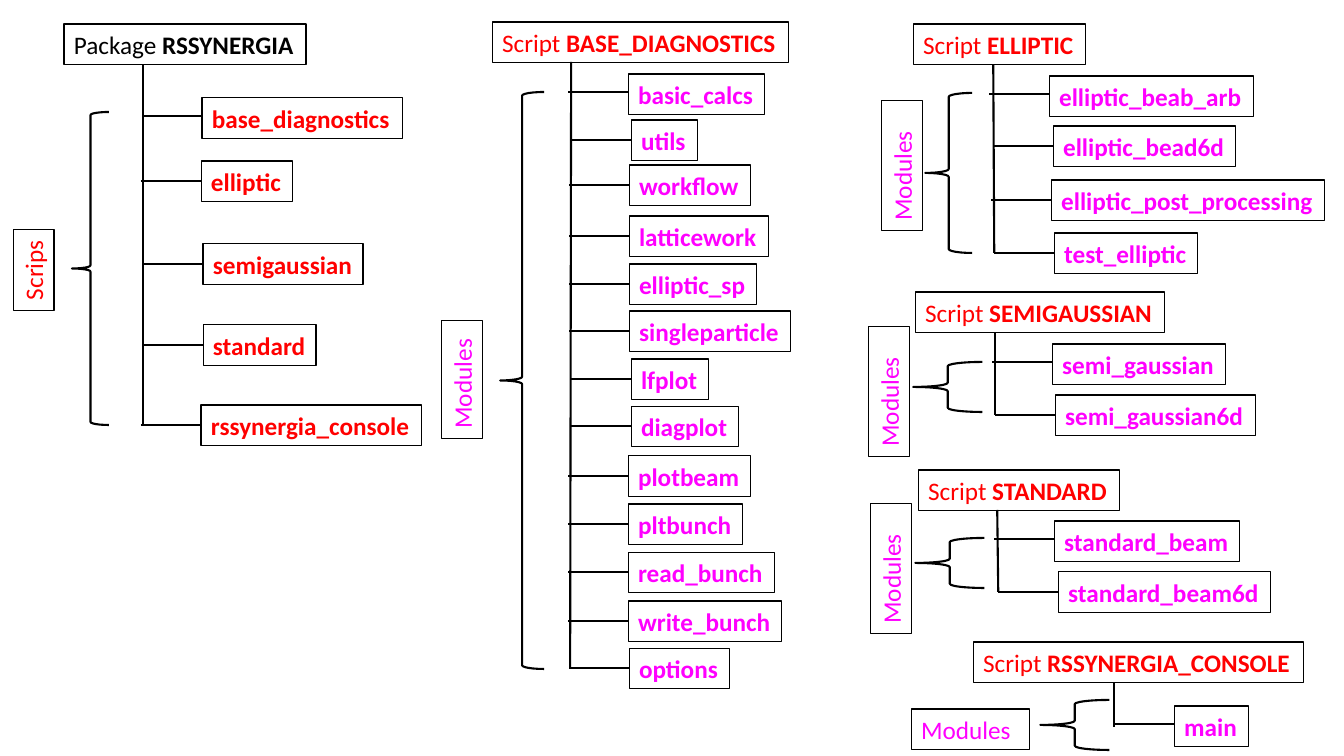
"""Draw the package tree with its scripts and modules on one slide."""
from lxml import etree
from pptx import Presentation
from pptx import util as u
from pptx.dml.color import RGBColor
from pptx.enum import shapes, text
from pptx.oxml.ns import qn

SCALE = 914400 / 100.8
BLACK = RGBColor(0x00, 0x00, 0x00)
RED = RGBColor(0xFF, 0x00, 0x00)
MAGENTA = RGBColor(0xFF, 0x00, 0xFF)
BOX_HEIGHT = 41
BRANCH_LENGTH = 60

TREES = [
    dict(kind="Package ", name="RSSYNERGIA", title=(64, 24, 242), color=BLACK,
         trunk=(143, 65, 143, 425), brace=(72, 112, 37, 313),
         label=("Scrips", -7, 249, 81), turn=270, leaf_color=RED,
         leaves=[("base_diagnostics", 202, 98, 200), ("elliptic", 201, 161, 91),
                 ("semigaussian", 203, 244, 160), ("standard", 203, 325, 113),
                 ("rssynergia_console", 201, 405, 220)]),
    dict(kind="Script ", name="BASE_DIAGNOSTICS", title=(492, 22, 296), color=RED,
         trunk=(571, 62, 570, 668), brace=(500, 92, 44, 577),
         label=("Modules", 403, 359, 118), turn=270, leaf_color=MAGENTA,
         leaves=[("basic_calcs", 628, 74, 136), ("utils", 631, 120, 66),
                 ("workflow", 629, 165, 121), ("latticework", 629, 216, 139),
                 ("elliptic_sp", 629, 264, 127), ("singleparticle", 629, 311, 161),
                 ("lfplot", 631, 359, 77), ("diagplot", 631, 406, 107),
                 ("plotbeam", 628, 456, 122), ("pltbunch", 628, 504, 114),
                 ("read_bunch", 628, 552, 146), ("write_bunch", 628, 601, 153),
                 ("options", 629, 648, 100)]),
    dict(kind="Script ", name="ELLIPTIC", title=(913, 24, 172), color=RED,
         trunk=(993, 65, 994, 253), brace=(925, 93, 47, 160),
         label=("Modules", 837, 145, 130), turn=270, leaf_color=MAGENTA,
         leaves=[("elliptic_beab_arb", 1049, 76, 204), ("elliptic_bead6d", 1053, 126, 182),
                 ("elliptic_post_processing", 1051, 180, 273),
                 ("test_elliptic", 1054, 233, 143)]),
    dict(kind="Script ", name="SEMIGAUSSIAN", title=(915, 292, 249), color=RED,
         trunk=(995, 333, 995, 415), brace=(913, 362, 69, 50),
         label=("Modules", 824, 371, 130), turn=270, leaf_color=MAGENTA,
         leaves=[("semi_gaussian", 1052, 344, 173), ("semi_gaussian6d", 1055, 395, 200)]),
    dict(kind="Script ", name="STANDARD", title=(918, 470, 201), color=RED,
         trunk=(997, 510, 998, 592), brace=(915, 538, 69, 50),
         label=("Modules", 826, 548, 130), turn=270, leaf_color=MAGENTA,
         leaves=[("standard_beam", 1054, 521, 185), ("standard_beam6d", 1058, 572, 212)]),
    dict(kind="Script ", name="RSSYNERGIA_CONSOLE", title=(973, 642, 330), color=RED,
         trunk=(1114, 683, 1114, 727), brace=(1040, 700, 69, 50),
         label=("Modules", 911, 709, 118), turn=0, leaf_color=MAGENTA,
         leaves=[("main", 1174, 706, 74)]),
]

deck = Presentation()
deck.slide_width, deck.slide_height = u.Inches(13.33), u.Inches(7.5)
page = deck.slides.add_slide(deck.slide_layouts[6])


def add_box(left, top, width, spans, color, wrap=False):
    edges = [round(v * SCALE) for v in (left, top, width, BOX_HEIGHT)]
    box = page.shapes.add_textbox(*edges)
    box.line.color.rgb = BLACK
    box.line.width = u.Pt(0.75)
    frame = box.text_frame
    frame.word_wrap = wrap
    frame.auto_size = text.MSO_AUTO_SIZE.SHAPE_TO_FIT_TEXT
    for words, bold in spans:
        span = frame.paragraphs[0].add_run()
        span.text = words
        span.font.name = "Calibri"
        span.font.size = u.Pt(18)
        span.font.bold = bold
        span.font.color.rgb = color
    return box


def add_line(*ends):
    points = [round(v * SCALE) for v in ends]
    line = page.shapes.add_connector(shapes.MSO_CONNECTOR.STRAIGHT, *points)
    line.line.color.rgb = BLACK
    line.line.width = u.Pt(1.5)
    etree.SubElement(line._element.spPr, qn("a:effectLst"))


for tree in TREES:
    add_box(*tree["title"], [(tree["kind"], False), (tree["name"], True)], tree["color"])
    add_line(*tree["trunk"])

    label, left, top, width = tree["label"]
    box = add_box(left, top, width, [(label, False)], tree["leaf_color"], label == "Modules")
    box.rotation = tree["turn"]

    edges = [round(v * SCALE) for v in tree["brace"]]
    brace = page.shapes.add_shape(shapes.MSO_SHAPE.LEFT_BRACE, *edges)
    brace.shadow.inherit = False
    brace.fill.background()
    brace.line.color.rgb = BLACK
    brace.line.width = u.Pt(1.5)

    for index, (name, left, top, width) in enumerate(tree["leaves"]):
        middle = top + (20 if index else 18)
        add_line(left - BRANCH_LENGTH, middle, left, middle)
        add_box(left, top, width, [(name, True)], tree["leaf_color"])

deck.save("out.pptx")
